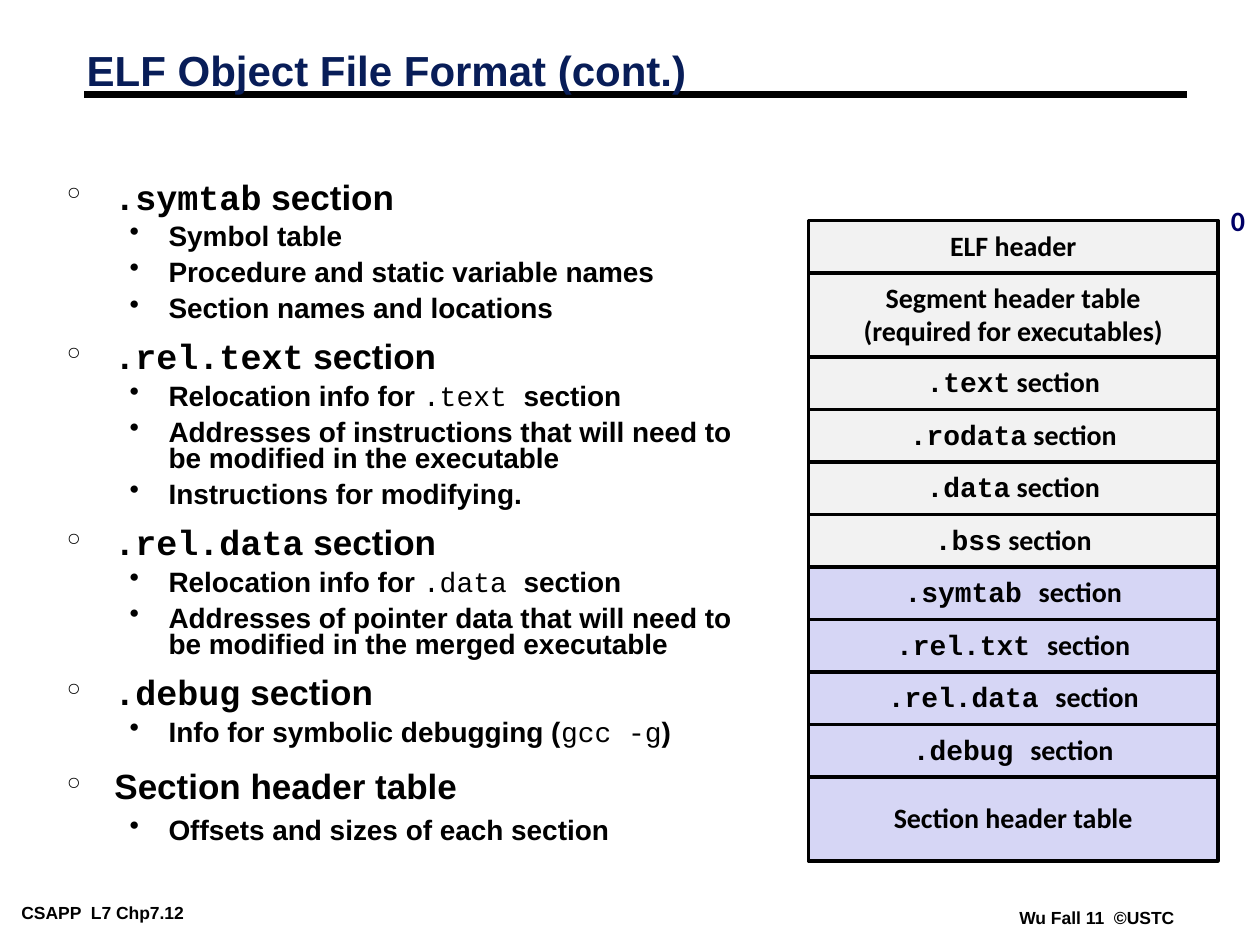
from dataclasses import dataclass

import lxml.etree
import pptx
import pptx.dml.color
import pptx.enum.shapes
import pptx.enum.text
import pptx.oxml.ns
import pptx.util

UNIT = 1 / 12
SANS, MONO, LABEL = "Arial", "Courier New", "Calibri"
BLACK, NAVY, BLUE = "000000", "081D58", "000066"
GREY, LAVENDER = "F2F2F2", "D6D6F5"
CENTER = pptx.enum.text.PP_ALIGN.CENTER
MIDDLE = pptx.enum.text.MSO_ANCHOR.MIDDLE


@dataclass(frozen=True)
class Span:
    text: str
    font: str = SANS
    bold: bool = True


@dataclass(frozen=True)
class Level:
    bullet: str
    indent: float
    hanging: float
    size: float
    before: float


@dataclass(frozen=True)
class Item:
    level: Level
    spans: tuple[Span, ...]
    spacing: float


@dataclass(frozen=True)
class Block:
    lines: tuple[tuple[Span, ...], ...]
    fill: str
    rows: int = 5
    spacing: float = 0.94


TOPIC = Level("°", 0.38, 0.38, 20, 12.5)
DETAIL = Level("•", 0.81, 0.31, 16, 5.6)


def topic(*spans: Span, spacing: float = 0.71) -> Item:
    return Item(TOPIC, spans, spacing)


def detail(*spans: Span, spacing: float = 0.78) -> Item:
    return Item(DETAIL, spans, spacing)


def section_topic(name: str) -> Item:
    return topic(Span(name, MONO), Span(" section"))


def relocation_detail(name: str) -> Item:
    return detail(Span("Relocation info for "), Span(f"{name} ", MONO, False), Span("section"))


def plain_block(*lines: str, fill: str, rows: int) -> Block:
    return Block(tuple((Span(line, LABEL),) for line in lines), fill, rows, 0.98)


def loaded_block(name: str) -> Block:
    return Block(((Span(name, MONO), Span(" section", LABEL)),), GREY)


def linking_block(name: str) -> Block:
    return Block(((Span(f"{name} ", MONO), Span("section", LABEL)),), LAVENDER)


ITEMS = (
    section_topic(".symtab"),
    detail(Span("Symbol table")),
    detail(Span("Procedure and static variable names")),
    detail(Span("Section names and locations")),
    section_topic(".rel.text"),
    relocation_detail(".text"),
    detail(Span("Addresses of instructions that will need to be modified in the executable")),
    detail(Span("Instructions for modifying.")),
    section_topic(".rel.data"),
    relocation_detail(".data"),
    detail(Span("Addresses of pointer data that will need to be modified in the merged executable")),
    section_topic(".debug"),
    detail(Span("Info for symbolic debugging ("), Span("gcc -g", MONO, False), Span(")")),
    topic(Span("Section header table"), spacing=0.88),
    detail(Span("Offsets and sizes of each section"), spacing=0.88),
)

BLOCKS = (
    plain_block("ELF header", fill=GREY, rows=5),
    plain_block("Segment header table", "(required for executables)", fill=GREY, rows=8),
    *(loaded_block(name) for name in (".text", ".rodata", ".data", ".bss")),
    *(linking_block(name) for name in (".symtab", ".rel.txt", ".rel.data", ".debug")),
    plain_block("Section header table", fill=LAVENDER, rows=8),
)


def color(value: str) -> pptx.dml.color.RGBColor:
    return pptx.dml.color.RGBColor.from_string(value)


def inches(*values: float) -> list[int]:
    return [pptx.util.Inches(value) for value in values]


def add_runs(paragraph, spans: tuple[Span, ...], size: float, ink: str = BLACK) -> None:
    for span in spans:
        run = paragraph.add_run()
        run.text = span.text
        run.font.name = span.font
        run.font.size = pptx.util.Pt(size)
        run.font.bold = span.bold
        run.font.color.rgb = color(ink)


def next_paragraph(frame, index: int):
    return frame.add_paragraph() if index else frame.paragraphs[0]


def set_bullet(paragraph, level: Level) -> None:
    properties = paragraph._p.get_or_add_pPr()
    properties.set("marL", str(pptx.util.Inches(level.indent)))
    properties.set("indent", str(pptx.util.Inches(-level.hanging)))
    qualified = pptx.oxml.ns.qn
    bullet_color = lxml.etree.SubElement(properties, qualified("a:buClr"))
    lxml.etree.SubElement(bullet_color, qualified("a:srgbClr"), val=BLACK)
    lxml.etree.SubElement(properties, qualified("a:buChar"), char=level.bullet)


def add_label(slide, box: tuple[float, ...], span: Span, size: float, ink: str = BLACK,
              spacing: float = 1.0, margins: tuple[float, float] = (0.1, 0.05),
              anchor=pptx.enum.text.MSO_ANCHOR.TOP, wrap: bool = False) -> None:
    frame = slide.shapes.add_textbox(*inches(*box)).text_frame
    frame.word_wrap = wrap
    frame.vertical_anchor = anchor
    frame.margin_left, frame.margin_top = inches(*margins)
    frame.margin_right, frame.margin_bottom = inches(*margins)
    frame.paragraphs[0].line_spacing = spacing
    add_runs(frame.paragraphs[0], (span,), size, ink)


def add_rule(slide, left: float, right: float, top: float) -> None:
    rule = slide.shapes.add_connector(
        pptx.enum.shapes.MSO_CONNECTOR.STRAIGHT, *inches(left, top, right, top))
    rule.line.color.rgb = color(BLACK)
    rule.line.width = pptx.util.Pt(4.5)
    lxml.etree.SubElement(rule._element.spPr, pptx.oxml.ns.qn("a:effectLst"))


def add_outline(slide, box: tuple[float, ...], items: tuple[Item, ...]) -> None:
    frame = slide.shapes.add_textbox(*inches(*box)).text_frame
    frame.word_wrap = True
    for index, item in enumerate(items):
        paragraph = next_paragraph(frame, index)
        paragraph.level = 1 if item.level is DETAIL else 0
        set_bullet(paragraph, item.level)
        paragraph.line_spacing = item.spacing
        paragraph.space_before = pptx.util.Pt(item.level.before if index else 0)
        add_runs(paragraph, item.spans, item.level.size)


def add_block(slide, column: int, row: int, columns: int, block: Block) -> None:
    box = (column * UNIT, row * UNIT, columns * UNIT, block.rows * UNIT)
    shape = slide.shapes.add_shape(pptx.enum.shapes.MSO_SHAPE.RECTANGLE, *inches(*box))
    shape.shadow.inherit = False
    shape.fill.solid()
    shape.fill.fore_color.rgb = color(block.fill)
    shape.line.color.rgb = color(BLACK)
    shape.line.width = pptx.util.Pt(2)
    frame = shape.text_frame
    frame.word_wrap = False
    frame.vertical_anchor = MIDDLE
    for index, line in enumerate(block.lines):
        paragraph = next_paragraph(frame, index)
        paragraph.alignment = CENTER
        paragraph.line_spacing = block.spacing
        add_runs(paragraph, line, 16)


def main() -> None:
    presentation = pptx.Presentation()
    presentation.slide_width, presentation.slide_height = inches(10, 7.5)
    slide = presentation.slides.add_slide(presentation.slide_layouts[6])

    footer_margins = (0.07, 0.03)
    add_label(slide, (0.1, 7.13, 1.95, 0.22), Span("CSAPP  L7 Chp7.12"), 10, margins=footer_margins)
    add_label(slide, (8.02, 7.17, 1.38, 0.22), Span("Wu Fall 11  ©USTC"), 10, margins=footer_margins)
    add_rule(slide, 0.67, 9.42, 0.75)
    add_label(slide, (0.59, 0.36, 9.53, 0.45), Span("ELF Object File Format (cont.)"), 24, NAVY,
              spacing=0.87, anchor=MIDDLE, wrap=True)
    add_outline(slide, (0.43, 1.43, 5.77, 5.98), ITEMS)

    row = 21
    for block in BLOCKS:
        add_block(slide, 77, row, 39, block)
        row += block.rows
    add_label(slide, (9.67, 1.58, 0.31, 0.36), Span("0", LABEL), 16, BLUE, spacing=0.98)

    presentation.save("out.pptx")


if __name__ == "__main__":
    main()
